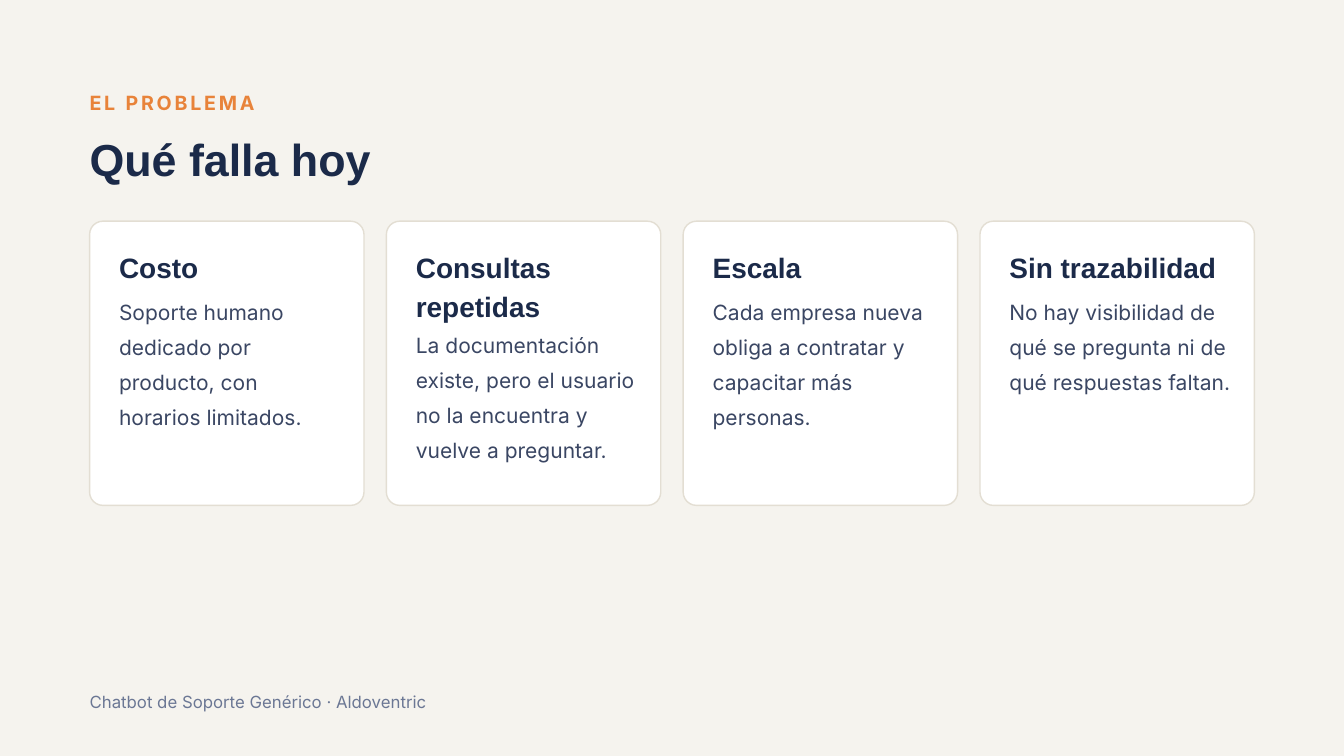
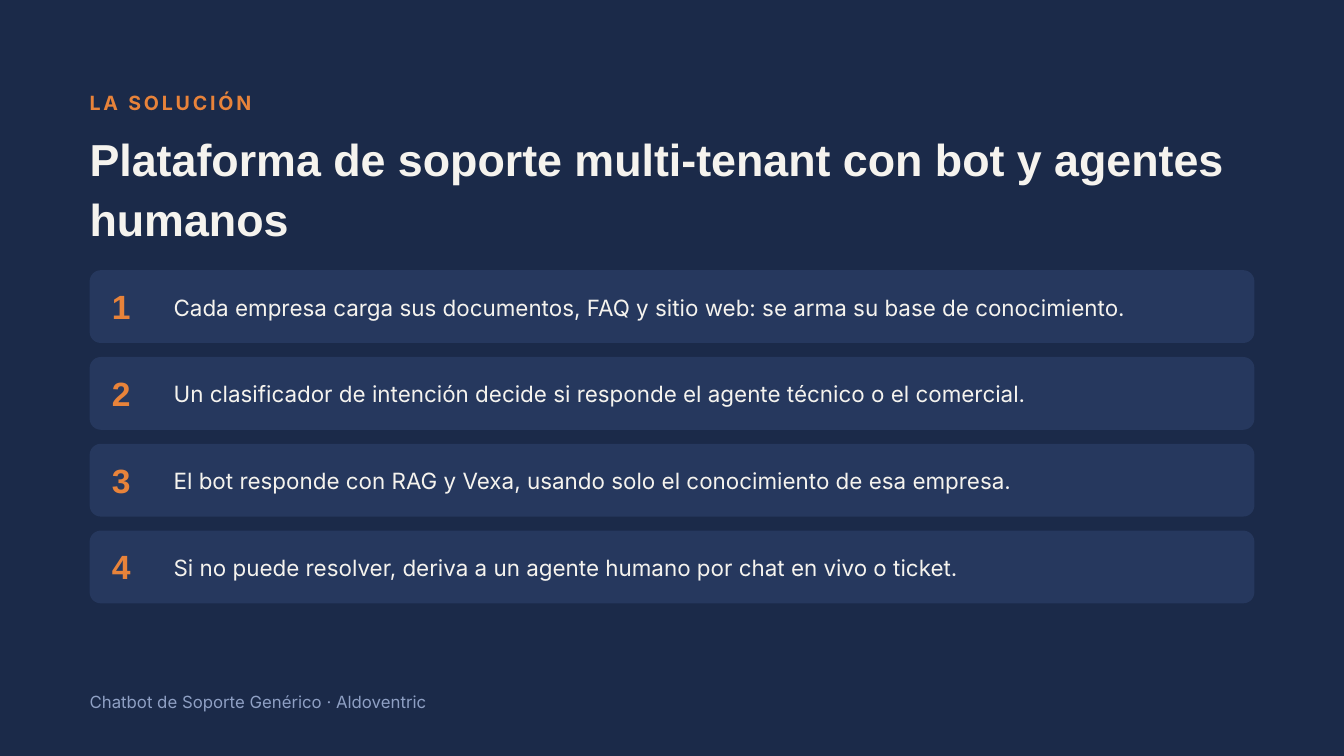
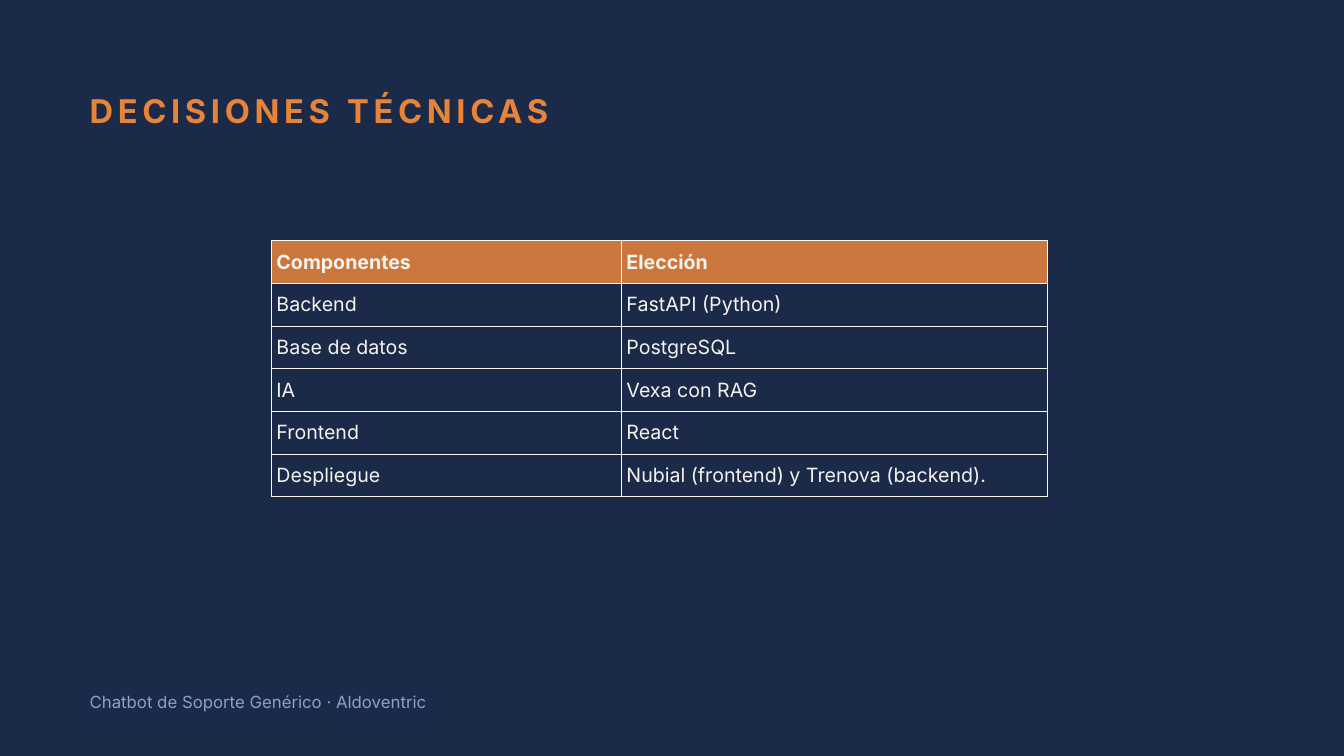
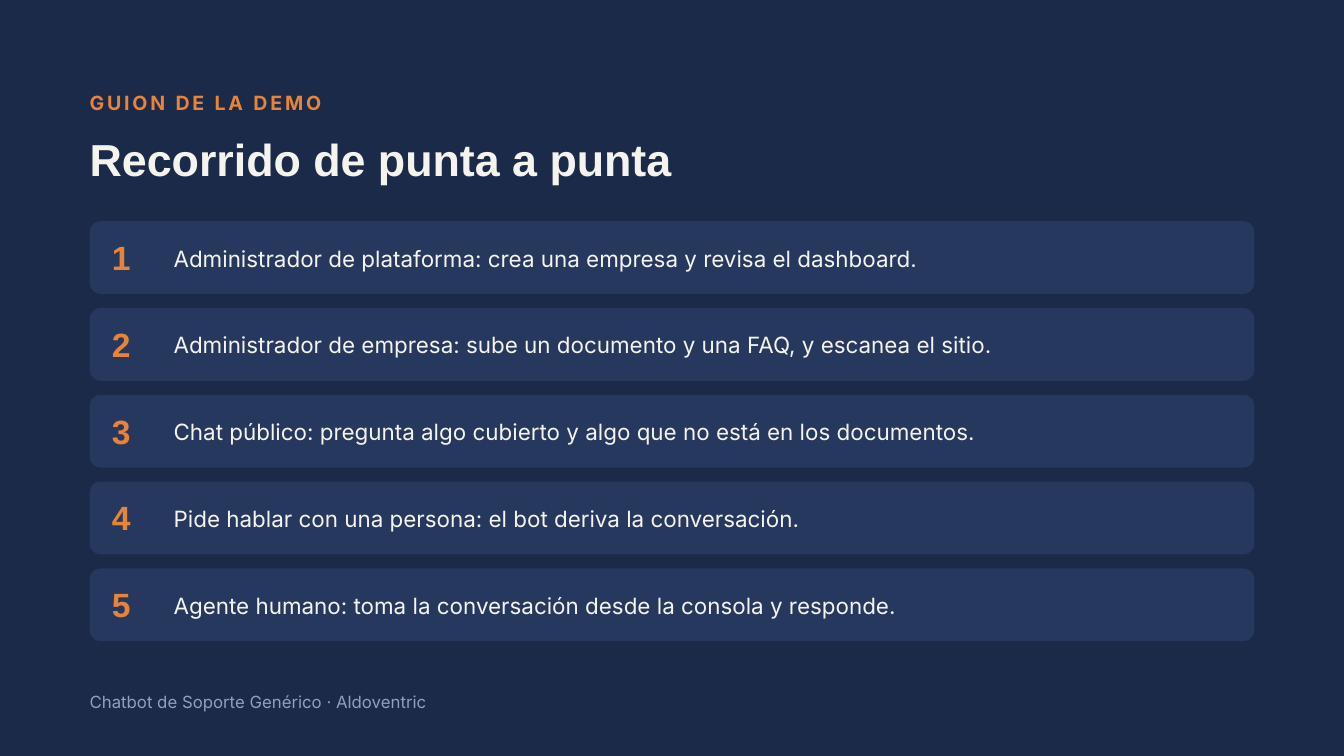
import pptx
import pptx.dml.color
import pptx.enum.shapes
import pptx.enum.text
import pptx.oxml
import pptx.oxml.ns
import pptx.util

# Shared look
PX = 9525  # EMU per px: the slide is 1920 x 1080 px
NAVY, CREAM, ORANGE = "1B2A49", "F5F3EE", "E8833A"
HEADER, ROW, GRID = "CA763D", "26385E", "FAF9F5"
WHITE, CARD_EDGE, SLATE = "FFFFFF", "E3DED3", "3A4663"
FOOTER_ON_LIGHT, FOOTER_ON_DARK = "6B7794", "8FA0C4"

LEFT, CONTENT_WIDTH, TEXT_WIDTH = 128, 1664, 1714
FOOTER = "Chatbot de Soporte Genérico · Aldoventric"

# Text styles: font, size, line spacing, bold, letter spacing (points)
STYLES = {
    "eyebrow": ("Inter", 21, 30.2, True, 3),
    "big eyebrow": ("Inter", 35, 50.4, True, 5),
    "title": ("Arial", 48, 63.4, True, 0),
    "card heading": ("Arial", 30, 41.4, True, 0),
    "card body": ("Inter", 22.5, 37.8, False, 0),
    "step number": ("Arial", 36, 54, True, 0),
    "step": ("Inter", 24, 36, False, 0),
    "table header": ("Inter", 21, 30.2, True, 0),
    "table cell": ("Inter", 21, 30.2, False, 0),
    "footer": ("Inter", 18, 25.9, False, 0),
}


def rgb(hex_color):
    return pptx.dml.color.RGBColor.from_string(hex_color)


class Deck:
    """Holds the presentation, its style and the slide being built."""

    def __init__(self):
        self.prs = pptx.Presentation()
        self.prs.slide_width = 1920 * PX
        self.prs.slide_height = 1080 * PX
        self.slide = None
        self.ink = None

    def new_slide(self, dark=True):
        self.slide = self.prs.slides.add_slide(self.prs.slide_layouts[6])
        self.slide.background.fill.solid()
        self.slide.background.fill.fore_color.rgb = rgb(NAVY if dark else CREAM)
        self.ink = CREAM if dark else NAVY
        self.text(FOOTER, LEFT, 983, TEXT_WIDTH, 36, "footer",
                  FOOTER_ON_DARK if dark else FOOTER_ON_LIGHT)

    def set_text(self, frame, words, style, color):
        font_name, size, leading, bold, tracking = STYLES[style]
        frame.text = words
        paragraph = frame.paragraphs[0]
        paragraph.line_spacing = pptx.util.Pt(leading)
        run = paragraph.runs[0]
        run.font.name = font_name
        run.font.size = pptx.util.Pt(size)
        run.font.bold = bold
        run.font.color.rgb = rgb(color)
        if tracking:
            run.font._element.set("spc", str(tracking * 100))

    def text(self, words, x, y, width, height, style, color):
        box = self.slide.shapes.add_textbox(x * PX, y * PX, width * PX, height * PX)
        frame = box.text_frame
        frame.margin_left = frame.margin_right = 0
        frame.margin_top = frame.margin_bottom = 0
        frame.word_wrap = True
        frame.auto_size = pptx.enum.text.MSO_AUTO_SIZE.SHAPE_TO_FIT_TEXT
        self.set_text(frame, words, style, color)

    def heading(self, eyebrow, title, lines=1):
        self.text(eyebrow, LEFT, 123, TEXT_WIDTH, 42, "eyebrow", ORANGE)
        self.text(title, LEFT, 181, TEXT_WIDTH, 12 + 70 * lines, "title", self.ink)

    def panel(self, x, y, width, height, radius, fill, edge=None):
        panel = self.slide.shapes.add_shape(
            pptx.enum.shapes.MSO_SHAPE.ROUNDED_RECTANGLE,
            x * PX, y * PX, width * PX, height * PX)
        panel.adjustments[0] = radius / min(width, height)
        panel.shadow.inherit = False
        panel.fill.solid()
        panel.fill.fore_color.rgb = rgb(fill)
        if edge:
            panel.line.color.rgb = rgb(edge)
            panel.line.width = pptx.util.Pt(1.5)
        else:
            panel.line.fill.background()

    def card(self, x, y, width, height, heading, body, heading_lines):
        self.panel(x, y, width, height, 19, WHITE, CARD_EDGE)
        inner_x, inner_width = x + 42, 317
        heading_y, heading_height = y + 35, 9 + 47 * heading_lines
        self.text(heading, inner_x, heading_y, inner_width, heading_height,
                  "card heading", NAVY)
        self.text(body, inner_x, heading_y + heading_height + 6, inner_width, 183,
                  "card body", SLATE)

    def steps(self, top, sentences):
        for index, sentence in enumerate(sentences):
            y = top + 124 * index
            self.panel(LEFT, y, CONTENT_WIDTH, 104, 16, ROW)
            self.text(str(index + 1), LEFT + 32, y + 8, 68, 78, "step number", ORANGE)
            width = min(19 * len(sentence), CONTENT_WIDTH - 120)
            self.text(sentence, LEFT + 120, y + 24, width, 52, "step", self.ink)

    def table(self, x, y, column_widths, row_height, rows):
        table = self.slide.shapes.add_table(
            len(rows), len(column_widths), x * PX, y * PX,
            sum(column_widths) * PX, row_height * len(rows) * PX).table
        table.first_row = table.horz_banding = False
        for column, width in zip(table.columns, column_widths):
            column.width = width * PX
        for row_index, row in enumerate(rows):
            table.rows[row_index].height = row_height * PX
            for column_index, words in enumerate(row):
                cell = table.cell(row_index, column_index)
                cell.margin_left = cell.margin_right = 7 * PX
                cell.margin_top = cell.margin_bottom = 7 * PX
                self.border(cell)
                if row_index == 0:
                    cell.fill.solid()
                    cell.fill.fore_color.rgb = rgb(HEADER)
                else:
                    cell.fill.background()
                style = "table cell" if row_index else "table header"
                self.set_text(cell.text_frame, words, style, self.ink)

    def border(self, cell):
        properties = cell._tc.get_or_add_tcPr()
        for side in ("lnL", "lnR", "lnT", "lnB"):
            properties.append(pptx.oxml.parse_xml(
                f'<a:{side} {pptx.oxml.ns.nsdecls("a")} w="12700"><a:solidFill>'
                f'<a:srgbClr val="{GRID}"/></a:solidFill></a:{side}>'))


def main():
    deck = Deck()

    # The problem: four cards
    deck.new_slide(dark=False)
    deck.heading("EL PROBLEMA", "Qué falla hoy")
    problems = [
        ("Costo", "Soporte humano dedicado por producto, con horarios limitados.", 1),
        ("Consultas repetidas", "La documentación existe, pero el usuario no la "
         "encuentra y vuelve a preguntar.", 2),
        ("Escala", "Cada empresa nueva obliga a contratar y capacitar más personas.", 1),
        ("Sin trazabilidad", "No hay visibilidad de qué se pregunta ni de qué "
         "respuestas faltan.", 1),
    ]
    gap = 32
    card_width = (CONTENT_WIDTH - gap * (len(problems) - 1)) // len(problems)
    for index, problem in enumerate(problems):
        deck.card(LEFT + index * (card_width + gap), 316, card_width, 406, *problem)

    # The solution: four steps
    deck.new_slide()
    deck.heading("LA SOLUCIÓN",
                 "Plataforma de soporte multi-tenant con bot y agentes humanos", 2)
    deck.steps(386, [
        "Cada empresa carga sus documentos, FAQ y sitio web: se arma su base de conocimiento.",
        "Un clasificador de intención decide si responde el agente técnico o el comercial.",
        "El bot responde con RAG y Vexa, usando solo el conocimiento de esa empresa.",
        "Si no puede resolver, deriva a un agente humano por chat en vivo o ticket.",
    ])

    # Technical decisions: table
    deck.new_slide()
    deck.text("DECISIONES TÉCNICAS", LEFT, 119, TEXT_WIDTH, 65, "big eyebrow", ORANGE)
    deck.table(388, 344, (500, 608), 61, [
        ("Componentes", "Elección"),
        ("Backend", "FastAPI (Python)"),
        ("Base de datos", "PostgreSQL"),
        ("IA", "Vexa con RAG"),
        ("Frontend", "React"),
        ("Despliegue", "Nubial (frontend) y Trenova (backend)."),
    ])

    # Demo script: five steps
    deck.new_slide()
    deck.heading("GUION DE LA DEMO", "Recorrido de punta a punta")
    deck.steps(316, [
        "Administrador de plataforma: crea una empresa y revisa el dashboard.",
        "Administrador de empresa: sube un documento y una FAQ, y escanea el sitio.",
        "Chat público: pregunta algo cubierto y algo que no está en los documentos.",
        "Pide hablar con una persona: el bot deriva la conversación.",
        "Agente humano: toma la conversación desde la consola y responde.",
    ])

    deck.prs.save("out.pptx")


if __name__ == "__main__":
    main()
